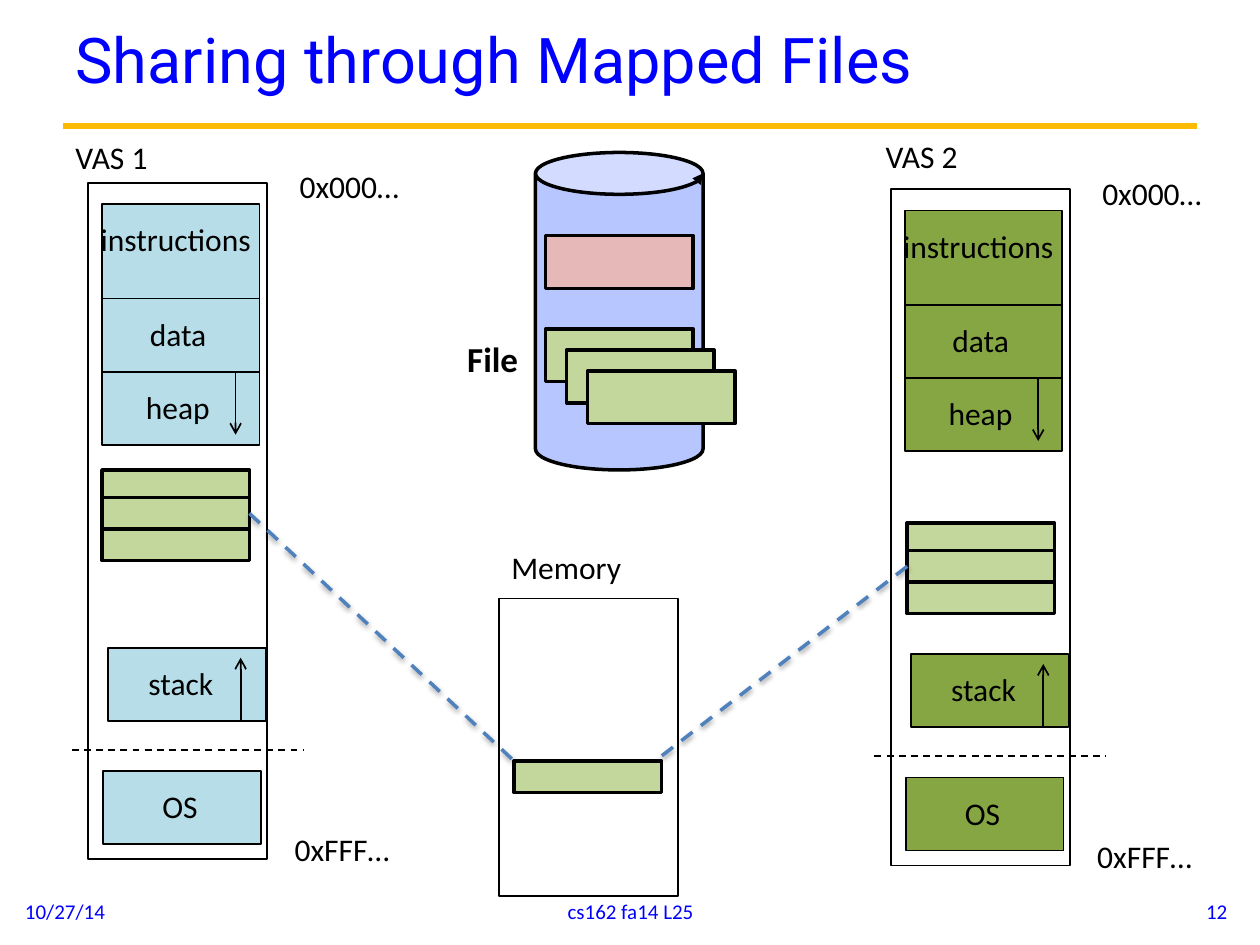
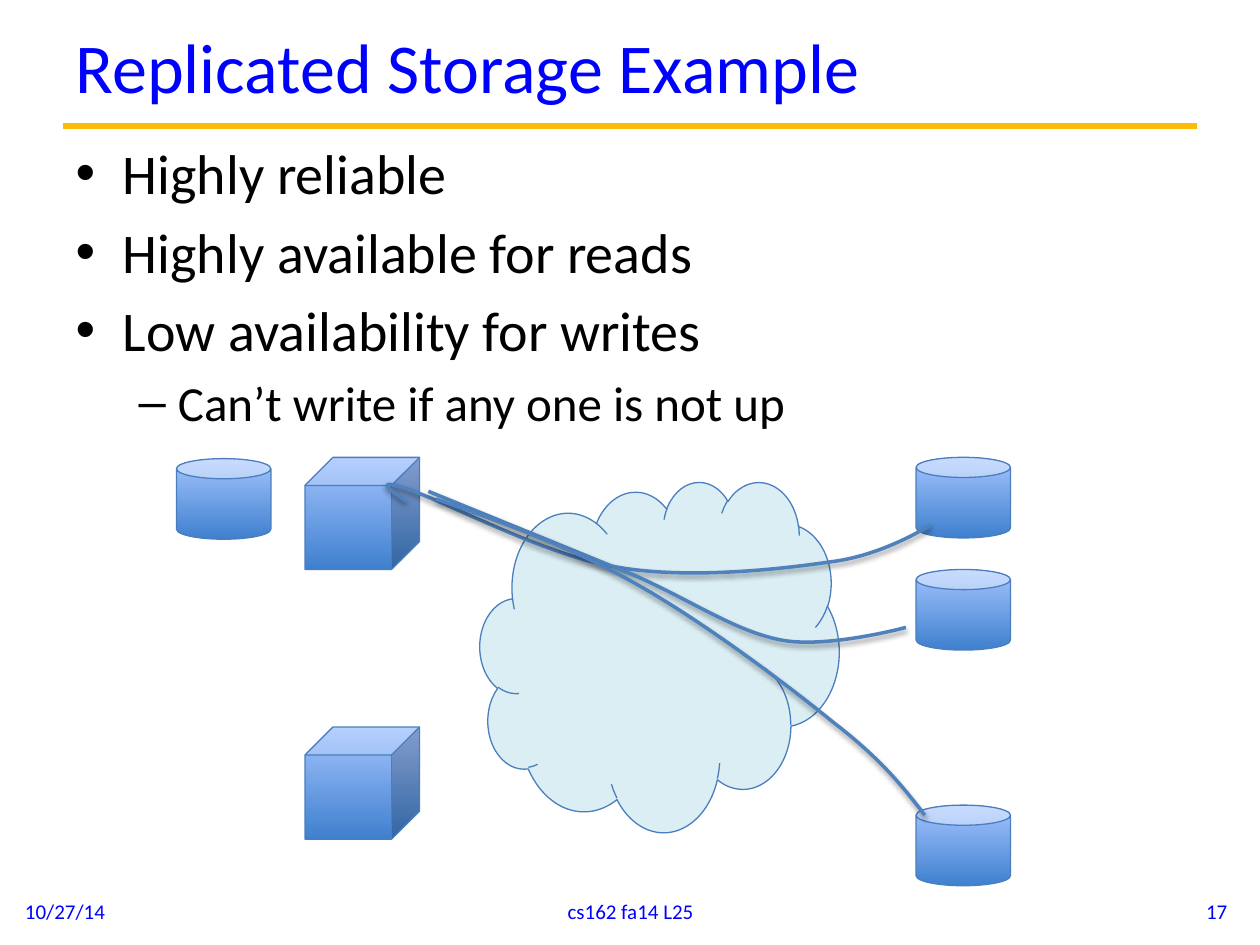
"""Builds two lecture slides on mapped files and replicated storage."""
from lxml import etree
from pptx import Presentation, util as u
from pptx.dml import color as clr
from pptx.enum import dml, shapes, text
from pptx.oxml import ns

HUES = {
    "title": "0000FF", "band": "FBBA03", "ink": "000000", "link": "4F81BD",
    "disk": "B7C6FE", "rose": "E6B9B8", "page": "C3D69B",
    "aqua": "B7DEE8", "olive": "86A644",
    "edge": "4B7EBC", "deep": "3F80CE", "pale": "A4C4FF", "cloud": "DBEEF4",
}
KIND = shapes.MSO_SHAPE
ALIGN = text.PP_ALIGN
PAGE = (1.17, 0.25)
SHEET = (1.17, 0.42)


def hue(name):
    """Return a named colour."""
    return clr.RGBColor.from_string(HUES[name])


def style(obj, vals):
    """Set every attribute in vals on obj."""
    for key, val in vals.items():
        setattr(obj, key, val)


def ink(font, size, tint="ink", face="Calibri", bold=False):
    """Format a font."""
    style(font, {"size": u.Pt(size), "name": face, "bold": bold})
    font.color.rgb = hue(tint)


def stroke(line, tint="ink", width=1, dash=False):
    """Format an outline."""
    line.color.rgb = hue(tint)
    line.width = u.Pt(width)
    if dash:
        line.dash_style = dml.MSO_LINE.DASH


def tip(shape, end, kind):
    """Put an arrowhead on one end of an outline."""
    edge = shape._element.spPr.find(ns.qn("a:ln"))
    etree.SubElement(edge, ns.qn("a:" + end), type=kind)


def shade(shape, drop):
    """Give a shape a soft drop shadow or none."""
    fx = etree.SubElement(shape._element.spPr, ns.qn("a:effectLst"))
    if drop:
        out = etree.SubElement(fx, ns.qn("a:outerShdw"), blurRad=str(u.Pt(3.1)),
                               dist=str(u.Pt(1.6)), dir="5400000", rotWithShape="0")
        tone = etree.SubElement(out, ns.qn("a:srgbClr"), val=HUES["ink"])
        etree.SubElement(tone, ns.qn("a:alpha"), val="38000")


def wire(slide, start, end, tint="ink", width=1, dash=False, head=None, drop=False):
    """Draw a straight line."""
    spots = [u.Inches(v) for v in (*start, *end)]
    line = slide.shapes.add_connector(shapes.MSO_CONNECTOR.STRAIGHT, *spots)
    stroke(line.line, tint, width, dash)
    if head:
        tip(line, "tailEnd", head)
    shade(line, drop)
    return line


def paint(shape, fill):
    """Fill a shape with one colour."""
    shape.fill.solid()
    shape.fill.fore_color.rgb = hue(fill)


def block(slide, at, fill=None, kind=KIND.RECTANGLE, tint="ink", width=1):
    """Draw a preset shape, filled plainly, by gradient or not at all."""
    shape = slide.shapes.add_shape(kind, *map(u.Inches, at))
    shape.shadow.inherit = False
    if fill == "blend":
        shape.fill.gradient()
        shape.fill.gradient_angle = 90
        for stop, name in zip(shape.fill.gradient_stops, ("deep", "pale")):
            stop.color.rgb = hue(name)
    elif fill:
        paint(shape, fill)
    else:
        shape.fill.background()
    stroke(shape.line, tint, width)
    return shape


def label(slide, words, at, size=18, bold=False, fill=None):
    """Write a one-line label that does not wrap."""
    box = slide.shapes.add_textbox(*map(u.Inches, at))
    style(box.text_frame, {"text": words, "word_wrap": False,
                           "auto_size": text.MSO_AUTO_SIZE.SHAPE_TO_FIT_TEXT})
    ink(box.text_frame.paragraphs[0].font, size, bold=bold)
    if fill:
        paint(box, fill)


def place(shape, at):
    """Move and size a shape."""
    style(shape, dict(zip(("left", "top", "width", "height"), map(u.Inches, at))))


def frame(deck, layout, title, at, size, face, number):
    """Add a slide with its title, band and footers."""
    slide = deck.slides.add_slide(deck.slide_layouts[layout])
    wire(slide, (0.5, 1), (9.5, 1), "band", 3.75)
    head = slide.shapes.title
    place(head, at)
    style(head.text_frame, {"text": title, "auto_size": text.MSO_AUTO_SIZE.NONE,
                            "vertical_anchor": text.MSO_ANCHOR.MIDDLE})
    par = head.text_frame.paragraphs[0]
    par.alignment = ALIGN.LEFT
    ink(par.font, size, "title", face)
    for words, left, wide, side in (("10/27/14", 0.1, 2.33, ALIGN.LEFT),
                                    ("cs162 fa14 L25", 3.42, 3.17, ALIGN.CENTER),
                                    (number, 7.51, 2.33, ALIGN.RIGHT)):
        foot = slide.shapes.add_textbox(*map(u.Inches, (left, 7.03, wide, 0.4)))
        style(foot.text_frame, {"text": words, "word_wrap": True,
                                "vertical_anchor": text.MSO_ANCHOR.MIDDLE})
        par = foot.text_frame.paragraphs[0]
        par.alignment = side
        ink(par.font, 12, "title")
    return slide


def space(slide, x, y, fill, back=None):
    """Draw one virtual address space with its regions."""
    block(slide, (x, y, 1.42, 5.37))
    label(slide, "0x000…", (x + 1.58, y - 0.17, 1.14, 0.4))
    label(slide, "0xFFF…", (x + 1.54, y + 5.09, 1.18, 0.4))
    for words, dx, dy, tall, tx, wide in (
            ("instructions", 0.11, 0.17, 0.75, 0, 1.48),
            ("data", 0.11, 0.92, 0.58, 0.39, 0.69),
            ("heap", 0.11, 1.5, 0.58, 0.36, 0.76),
            ("stack", 0.16, 3.69, 0.58, 0.38, 0.79),
            ("OS", 0.12, 4.67, 0.58, 0.49, 0.57)):
        block(slide, (x + dx, y + dy, 1.25, tall), fill)
        label(slide, words, (x + tx, y + dy + 0.08, wide, 0.4),
              fill=back if tx else None)
    wire(slide, (x + 1.17, y + 1.5), (x + 1.17, y + 2), head="arrow")
    wire(slide, (x + 1.21, y + 4.27), (x + 1.21, y + 3.77), head="arrow")
    wire(slide, (x - 0.13, y + 4.5), (x + 1.71, y + 4.5), dash=True)


def pages(slide, x, y):
    """Stack three mapped pages and return the middle one."""
    stack = [block(slide, (x, y + dy, *PAGE), "page", width=2)
             for dy in (0, 0.22, 0.47)]
    return stack[1]


def curve(slide, at, start, *parts):
    """Draw an open line of cubic Bezier parts inside a given box."""
    knots = [part[i:i + 2] for part in parts for i in (0, 2, 4)]
    pen = slide.shapes.build_freeform(*map(u.Inches, start))
    pen.add_line_segments([[u.Inches(v) for v in knot] for knot in knots], close=False)
    line = pen.convert_to_shape()
    left, top = line.left, line.top
    place(line, at)
    route = next(line._element.iter(ns.qn("a:path")))
    style(route, {"w": line.width, "h": line.height})
    for dot in route.iter(ns.qn("a:pt")):
        dot.set("x", str(int(dot.get("x")) + left - line.left))
        dot.set("y", str(int(dot.get("y")) + top - line.top))
    steps = route.findall(ns.qn("a:lnTo"))
    for i in range(0, len(steps), 3):
        bend = etree.SubElement(route, ns.qn("a:cubicBezTo"))
        for step in steps[i:i + 3]:
            bend.append(step[0])
            route.remove(step)
    line.fill.background()
    stroke(line.line, "link", 2)
    shade(line, True)


def mapped(deck):
    """Build the slide on mapped files."""
    slide = frame(deck, 5, "Sharing through Mapped Files",
                  (0.5, 0.17, 8.42, 0.58), 36, "Roboto", "12")
    disk = block(slide, (4.25, 1.21, 1.33, 2.52), "disk", KIND.CAN, width=2)
    tip(disk, "headEnd", "triangle")
    block(slide, (4.33, 1.87, *SHEET), "rose", width=2)
    for i in range(3):
        block(slide, (4.33 + i / 6, 2.61 + i / 6, *SHEET), "page", width=2)
    label(slide, "File", (3.61, 2.63, 0.61, 0.44), 20, True)
    space(slide, 7.07, 1.5, "olive")
    space(slide, 0.7, 1.45, "aqua", "aqua")
    left = pages(slide, 0.81, 3.73)
    right = pages(slide, 7.2, 4.15)
    block(slide, (3.96, 4.75, 1.42, 2.36))
    block(slide, (4.08, 6.04, *PAGE), "page", width=2)
    label(slide, "VAS 1", (0.5, 1.05, 0.79, 0.4))
    label(slide, "VAS 2", (6.93, 1.04, 0.79, 0.4))
    for page, side, start, end in ((left, 3, (1.98, 4.08), (4.08, 6.04)),
                                   (right, 1, (7.2, 4.5), (5.25, 6))):
        link = wire(slide, start, end, "link", 2, True, drop=True)
        link.begin_connect(page, side)
    label(slide, "Memory", (3.96, 4.3, 1.08, 0.4))


def stored(deck):
    """Build the slide on replicated storage."""
    slide = frame(deck, 1, "Replicated Storage Example",
                  (0.5, 0.04, 9, 0.96), 40, "Calibri", "17")
    body = slide.placeholders[1]
    place(body, (0.5, 1.05, 9, 5.7))
    lines = ("Highly reliable", "Highly available for reads",
             "Low availability for writes", "Can’t write if any one is not up")
    style(body.text_frame, {"text": "\n".join(lines),
                            "auto_size": text.MSO_AUTO_SIZE.NONE})
    for par, level in zip(body.text_frame.paragraphs, (0, 0, 0, 1)):
        par.level = level
        ink(par.font, 32 - 4 * level)
    for x, y in ((7.27, 3.63), (7.27, 4.52), (7.27, 6.39), (1.4, 3.64)):
        block(slide, (x, y, 0.75, 0.64), "blend", KIND.CAN, "edge", 0.75)
    for y in (3.63, 5.77):
        block(slide, (2.42, y, 0.91, 0.89), "blend", KIND.CUBE, "edge", 0.75)
    block(slide, (3.81, 3.82, 2.85, 2.78), "cloud", KIND.CLOUD, "edge", 0.75)
    curve(slide, (3.07, 3.85, 4.31, 0.7), (3.23, 3.98),
          (3.09, 3.89, 2.96, 3.79, 3.23, 3.88),
          (3.51, 3.97, 4.33, 4.41, 4.89, 4.5), (5.45, 4.6, 6.18, 4.52, 6.59, 4.46),
          (7.01, 4.41, 7.38, 4.17, 7.38, 4.17))
    curve(slide, (3.4, 3.9, 3.79, 1.2), (3.4, 3.9),
          (3.4, 3.9, 5.02, 4.56, 5.02, 4.56),
          (5.48, 4.76, 5.83, 5.01, 6.2, 5.08), (6.56, 5.15, 7.19, 4.98, 7.19, 4.98))
    curve(slide, (3.46, 3.96, 3.88, 2.51), (3.46, 3.96),
          (3.99, 4.15, 4.51, 4.33, 5.04, 4.63),
          (5.56, 4.92, 6.23, 5.42, 6.61, 5.73), (7, 6.03, 7.17, 6.25, 7.34, 6.47))


def main():
    """Build and save the deck."""
    deck = Presentation()
    style(deck, {"slide_width": u.Inches(10), "slide_height": u.Inches(7.5)})
    mapped(deck)
    stored(deck)
    deck.save("out.pptx")


if __name__ == "__main__":
    main()
